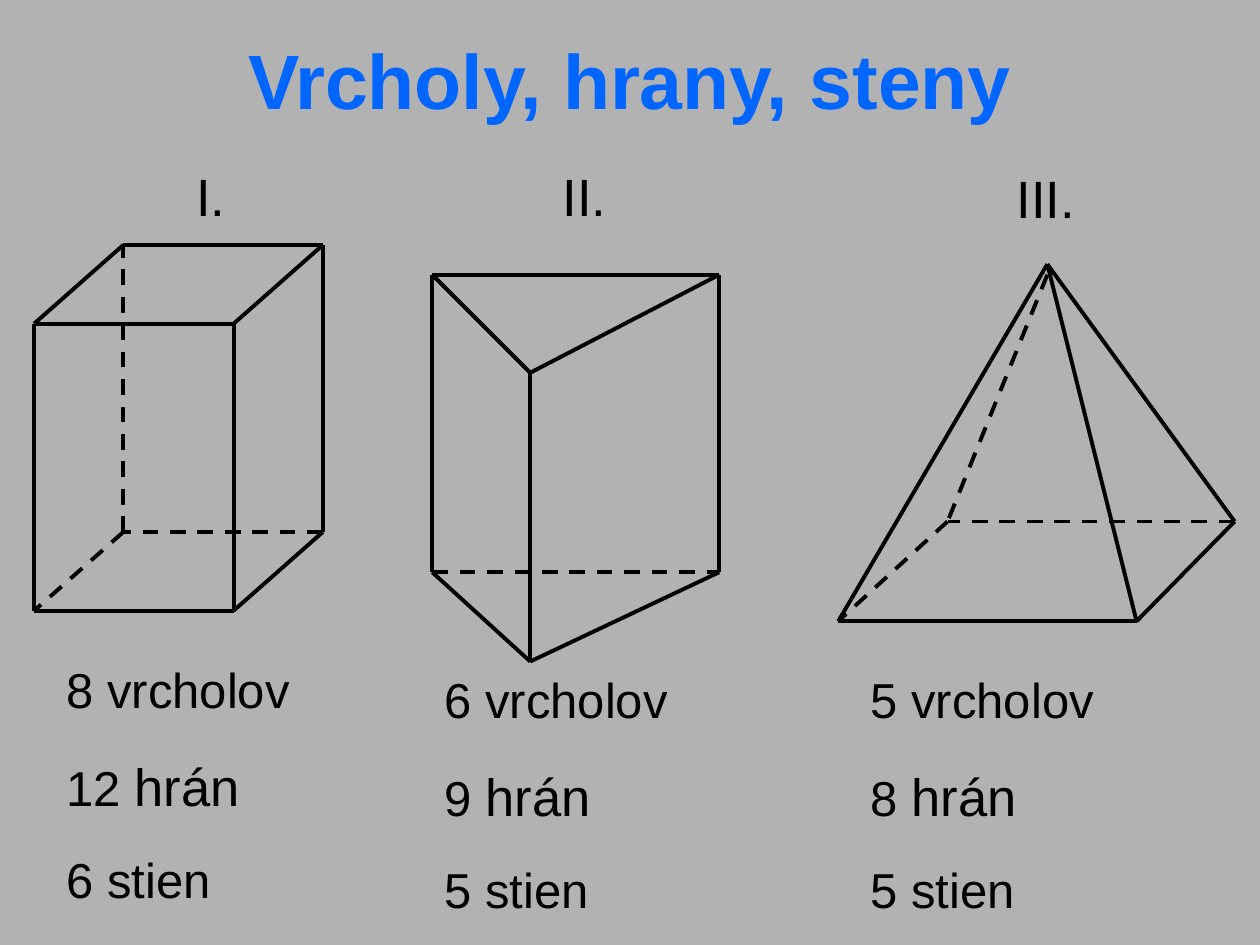
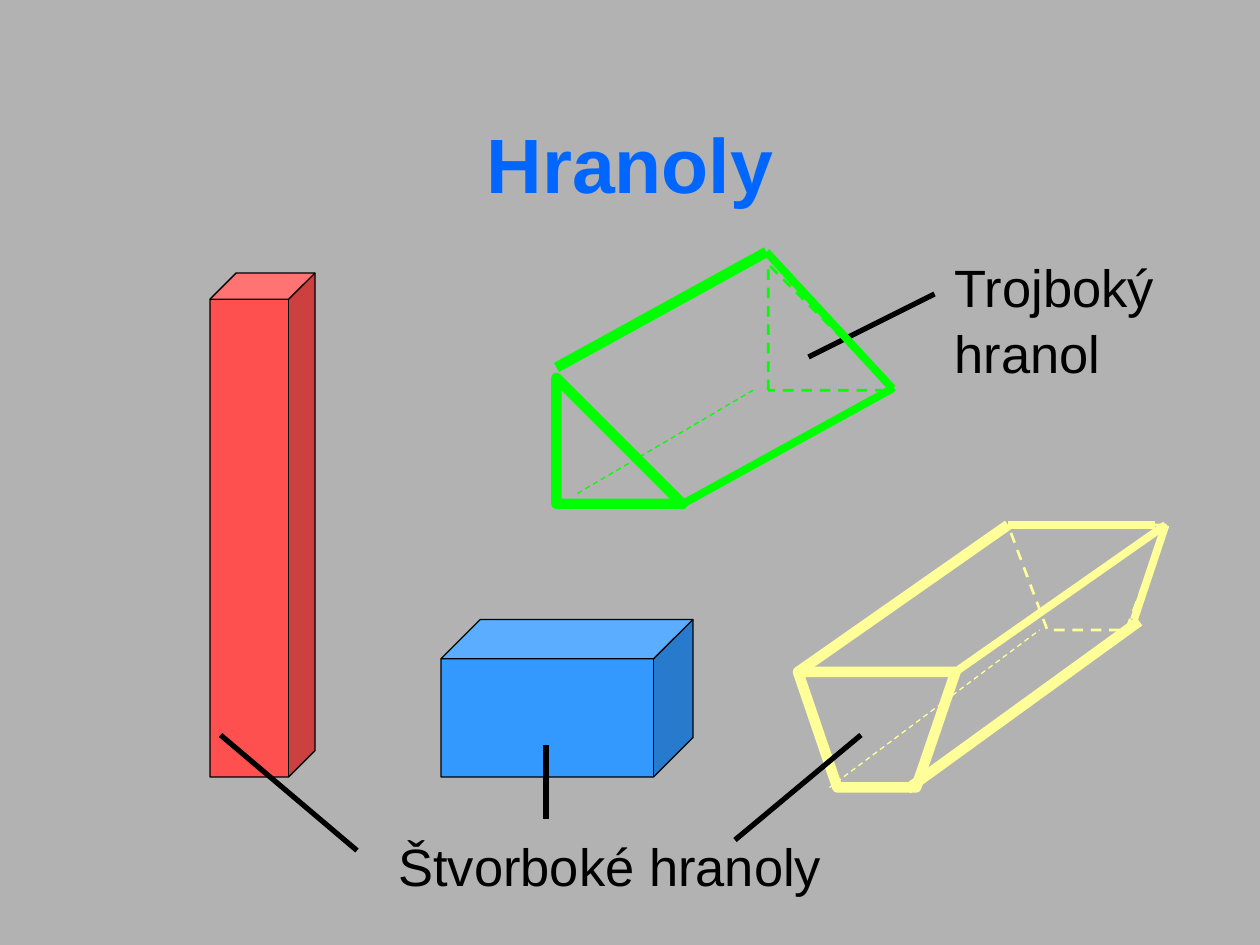
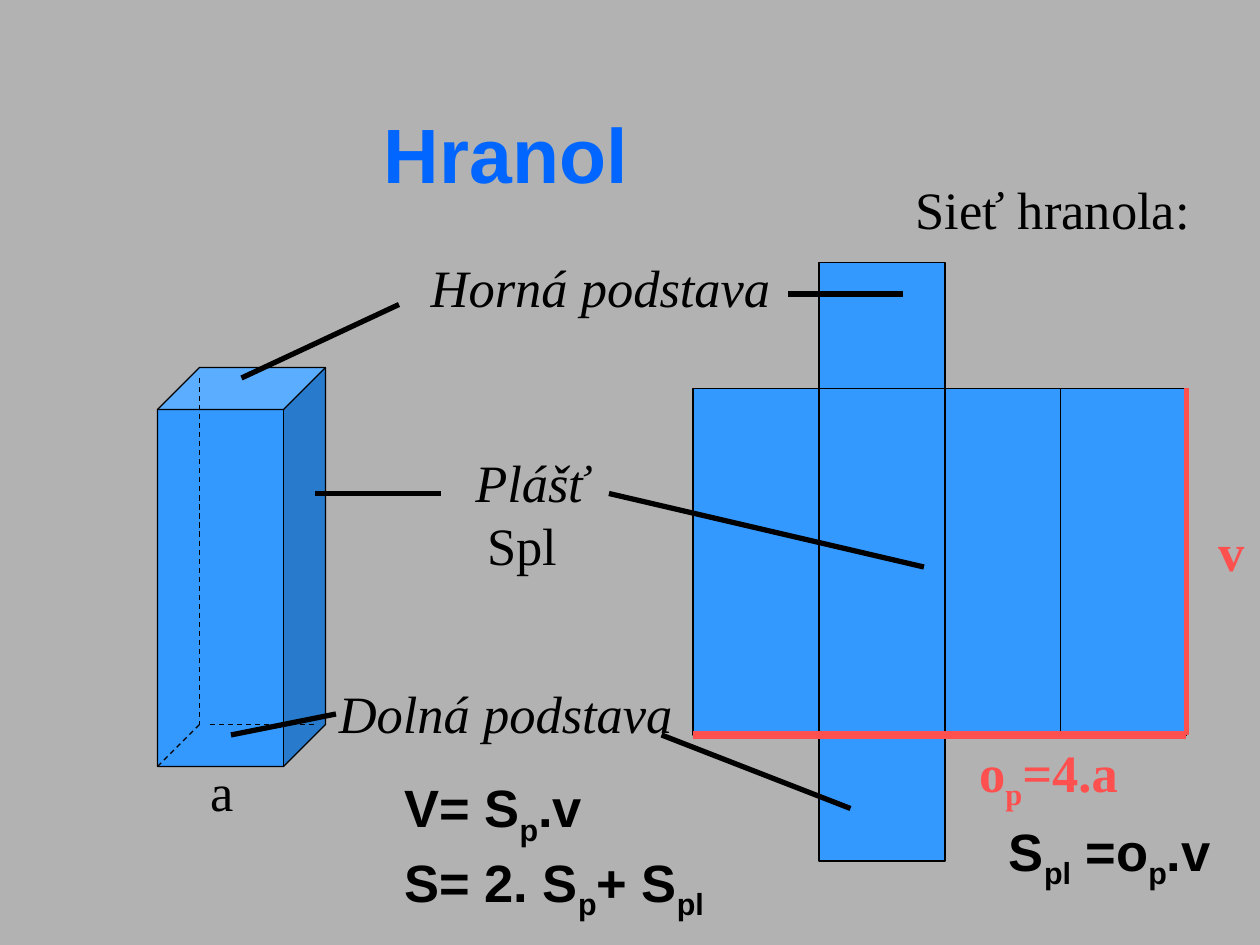
from lxml.etree import SubElement
from pptx import Presentation
from pptx.dml.color import RGBColor
from pptx.enum.dml import MSO_LINE
from pptx.enum.shapes import MSO_CONNECTOR, MSO_SHAPE
from pptx.enum.text import PP_ALIGN
from pptx.oxml.ns import qn
from pptx.util import Pt

rgb = RGBColor.from_string
GREY, BLACK, TITLE = "B2B2B2", "000000", "0066FF"
BLUE, RED, GREEN, YELLOW = "3399FF", "FF5050", "00FF00", "FFFF99"
SANS, SERIF = "Arial", "Times New Roman"


def line(s, start, end, color=BLACK, width=3, dashed=False):
    c = s.shapes.add_connector(MSO_CONNECTOR.STRAIGHT, *map(Pt, start + end))
    c.line.color.rgb = rgb(color)
    c.line.width = Pt(width)
    if dashed:
        c.line.dash_style = MSO_LINE.DASH
    SubElement(c._element.spPr, qn("a:effectLst"))


def text(s, x, y, w, h, lines, font=SANS, size=30, color=BLACK, bold=False, italic=False):
    """Add a text box; parts between bars become subscripts."""
    tf = s.shapes.add_textbox(Pt(x), Pt(y), Pt(w), Pt(h)).text_frame
    tf.word_wrap = True
    for i, content in enumerate(lines):
        p = tf.add_paragraph() if i else tf.paragraphs[0]
        p.line_spacing = 1.04
        p.font.name, p.font.size = font, Pt(size)
        p.font.bold, p.font.italic = bold, italic
        p.font.color.rgb = rgb(color)
        for j, part in enumerate(content.split("|")):
            r = p.add_run()
            r.text = part
            if j % 2:
                r._r.get_or_add_rPr().set("baseline", "-25000")
    return tf


prs = Presentation()
prs.slide_width, prs.slide_height = Pt(720), Pt(540)
bg = prs.slide_master.background.fill
bg.solid()
bg.fore_color.rgb = rgb(GREY)

titles = [
    ("Vrcholy, hrany, steny", 0, 612, 90, PP_ALIGN.CENTER),
    ("Hranoly", 48, 612, 90, PP_ALIGN.CENTER),
    ("Hranol", 48, 312, 78, PP_ALIGN.RIGHT),
]
for title, y, w, h, align in titles:
    s = prs.slides.add_slide(prs.slide_layouts[5])
    sp = s.shapes.title
    sp.left, sp.top, sp.width, sp.height = Pt(54), Pt(y), Pt(w), Pt(h)
    sp.text_frame.text = title
    p = sp.text_frame.paragraphs[0]
    p.alignment = align
    p.font.name, p.font.size, p.font.bold = SANS, Pt(44), True
    p.font.color.rgb = rgb(TITLE)
edges_slide, prisms_slide, net_slide = prs.slides

# Slide 1: vertices, visible edges and hidden edges of each solid
cuboid = {"A": (19.5, 349), "B": (133.5, 349), "C": (184.5, 304), "D": (70.5, 304),
          "E": (19.5, 185), "F": (133.5, 185), "G": (184.5, 140), "H": (70.5, 140)}
prism = {"A": (247, 327), "B": (411, 327), "C": (303, 378),
         "D": (247, 157), "E": (411, 157), "F": (303, 213)}
pyramid = {"A": (479, 355), "B": (649.5, 355), "C": (705.5, 298), "D": (541.5, 298),
           "V": (598.5, 151), "W": (598.5, 157)}
solids = [
    (cuboid, "AB BC EF FG GH HE AE BF CG", "CD DA DH"),
    (prism, "AC BC DE EF FD AD BE CF", "AB"),
    (pyramid, "AB BC VA VB VC", "CD DA WD"),
]
for points, visible, hidden in solids:
    for edges, dashed in ((visible, False), (hidden, True)):
        for a, b in edges.split():
            line(edges_slide, points[a], points[b], width=2.25, dashed=dashed)

for numeral, x, y, w in (("I.", 105, 88.5, 34), ("II.", 314.5, 88.5, 42), ("III.", 574, 90, 51)):
    text(edges_slide, x, y, w, 43, [numeral])

counts = [(31, 372, 8, 12, 6), (247, 378, 6, 9, 5), (490.5, 378, 5, 8, 5)]
for x, y, vertices, edges, faces in counts:
    tf = text(edges_slide, x, y, 180, 147,
              [f"{vertices} vrcholov", f"{edges} ", f"{faces} stien"], size=28)
    r = tf.paragraphs[1].add_run()
    r.text = "hrán"
    r.font.size = Pt(30)
    tf.paragraphs[1].space_before = Pt(18.7)
    tf.paragraphs[2].space_before = Pt(17.5)

# Filled shapes of slides 2 and 3
CUBE, RECT, TRIANGLE = MSO_SHAPE.CUBE, MSO_SHAPE.RECTANGLE, MSO_SHAPE.RIGHT_TRIANGLE
presets = [
    (prisms_slide, CUBE, (120, 156, 60, 288), RED, BLACK, 0.75, False),
    (prisms_slide, CUBE, (252, 354, 144, 90), BLUE, BLACK, 0.75, False),
    (prisms_slide, TRIANGLE, (318, 216, 72, 72), GREY, GREEN, 6, False),
    (prisms_slide, TRIANGLE, (439, 151, 72, 72), GREY, GREEN, 1.5, True),
    (net_slide, CUBE, (90, 210, 96, 228), BLUE, BLACK, 0.75, False),
]
for x in (396, 468, 540, 606):
    presets.append((net_slide, RECT, (x, 222, 72, 198), BLUE, BLACK, 0.75, False))
for y in (150, 420):
    presets.append((net_slide, RECT, (468, y, 72, 72), BLUE, BLACK, 0.75, False))

styled = []
for s, kind, box, *style in presets:
    styled.append((s.shapes.add_shape(kind, *map(Pt, box)), *style))
for x, y, h, width, dashed in ((456, 384, 66, 6, False), (576, 300, 60, 1.5, True)):
    builder = prisms_slide.shapes.build_freeform(Pt(x), Pt(y))
    corners = [(x + 90, y), (x + 67.5, y + h), (x + 22.5, y + h)]
    builder.add_line_segments([(Pt(cx), Pt(cy)) for cx, cy in corners], close=True)
    styled.append((builder.convert_to_shape(), GREY, YELLOW, width, dashed))

for sp, fill, outline, width, dashed in styled:
    sp.shadow.inherit = False
    sp.fill.solid()
    sp.fill.fore_color.rgb = rgb(fill)
    sp.line.color.rgb = rgb(outline)
    sp.line.width = Pt(width)
    if dashed:
        sp.line.dash_style = MSO_LINE.DASH

# Slide 2: pointers, then the edges joining the prism bases
for start, end in [
    ((126, 420), (204, 486)),
    ((312, 426), (312, 468)),
    ((420, 480), (492, 420)),
    ((462, 204), (534, 168)),
]:
    line(prisms_slide, start, end)
for start, end, color, width, dashed in [
    ((330, 282), (432, 222), GREEN, 0.75, True),
    ((390, 288), (510, 222), GREEN, 4.5, False),
    ((318, 210), (438, 144), GREEN, 6, False),
    ((438, 144), (510, 222), GREEN, 4.5, False),
    ((456, 384), (576, 300), YELLOW, 6, False),
    ((546, 384), (666, 300), YELLOW, 4.5, False),
    ((518.5, 451), (651, 355), YELLOW, 6, False),
    ((474, 450), (594, 360), YELLOW, 0.75, True),
    ((666, 300), (648, 354), YELLOW, 4.5, False),
    ((576, 300), (660, 300), YELLOW, 4.5, False),
]:
    line(prisms_slide, start, end, color, width, dashed)
text(prisms_slide, 220.5, 471.5, 262, 43, ["Štvorboké hranoly"])
text(prisms_slide, 538.5, 141, 134, 79, ["Trojboký", "hranol"])

# Slide 3: pointers, hidden edges, measured sides and labels
for start, end in [
    ((138, 216), (228, 174)),
    ((516, 168), (450, 168)),
    ((180, 282), (252, 282)),
    ((348, 282), (528, 324)),
    ((132, 420), (192, 408)),
    ((378, 420), (486, 462)),
]:
    line(net_slide, start, end)
for start, end in [((114, 216), (114, 414)), ((120, 414), (180, 414)), ((114, 414), (90, 438))]:
    line(net_slide, start, end, width=0.75, dashed=True)
line(net_slide, (396, 420), (678, 420), RED, 4.5)
line(net_slide, (678, 222), (678, 420), RED)

for label, x, y, w in [
    ("Horná podstava", 239, 141, 214),
    ("Plášť", 264.5, 252, 84),
    ("Dolná podstava", 186.5, 384, 212),
]:
    text(net_slide, x, y, w, 43, [label], SERIF, italic=True)
for label, x, y, w in [("Spl", 271.5, 288, 64), ("Sieť hranola:", 516, 96, 178), ("a", 113, 429, 32)]:
    text(net_slide, x, y, w, 43, [label], SERIF)
for label, x, y, w in [("o|p|=4.a", 552.5, 417.5, 138), ("v", 689, 291.5, 31)]:
    text(net_slide, x, y, w, 43, [label], SERIF, color=RED, bold=True)
text(net_slide, 224, 438, 192, 89, ["V= S|p|.v", "S= 2. S|p|+ S|pl"], bold=True)
text(net_slide, 569.5, 463, 150, 48, ["S|pl| =o|p|.v"], bold=True)

prs.save("out.pptx")
